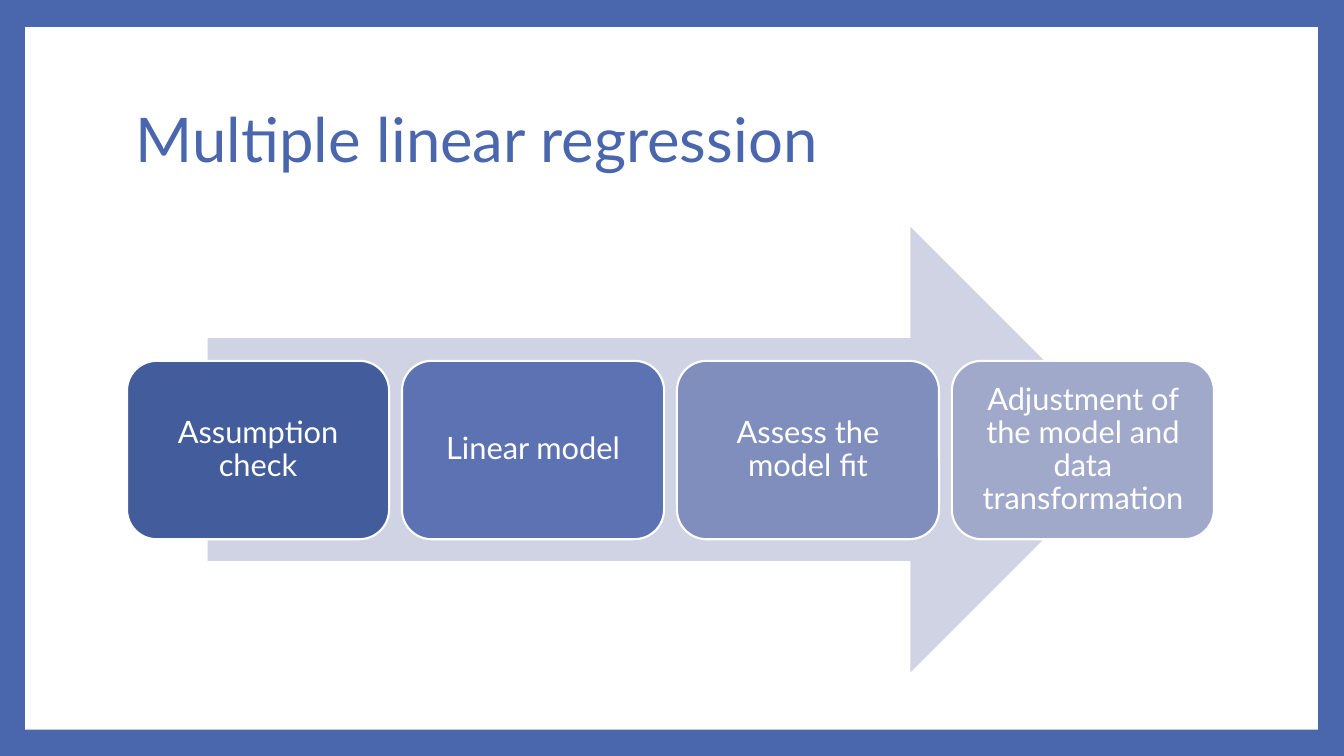
from pptx import Presentation
from pptx.dml.color import RGBColor
from pptx.enum.shapes import MSO_SHAPE
from pptx.enum.text import MSO_ANCHOR, PP_ALIGN
from pptx.util import Inches, Pt

BLUE = "4A66AC"
WHITE = "FFFFFF"
STEPS = [
    ("Assumption check", "435D9C"),
    ("Linear model", "5C72B2"),
    ("Assess the model fit", "7F8EBD"),
    ("Adjustment of the model and data transformation", "A1A9CA"),
]
STEP_LEFT, STEP_PITCH = 1.26, 2.727


def add_filled_shape(kind, left, top, width, height, color):
    shape = slide.shapes.add_shape(
        kind, Inches(left), Inches(top), Inches(width), Inches(height))
    shape.shadow.inherit = False
    shape.fill.solid()
    shape.fill.fore_color.rgb = RGBColor.from_string(color)
    shape.line.fill.background()
    return shape


def write_text(shape, text, size, color, alignment):
    frame = shape.text_frame
    frame.word_wrap = True
    frame.vertical_anchor = MSO_ANCHOR.MIDDLE
    paragraph = frame.paragraphs[0]
    paragraph.text = text
    paragraph.alignment = alignment
    paragraph.line_spacing = 0.9
    paragraph.font.name = "Lato"
    paragraph.font.size = Pt(size)
    paragraph.font.color.rgb = RGBColor.from_string(color)


presentation = Presentation()
presentation.slide_width = Inches(13.33)
presentation.slide_height = Inches(7.5)
slide = presentation.slides.add_slide(presentation.slide_layouts[6])

# Blue frame around a white panel
slide.background.fill.solid()
slide.background.fill.fore_color.rgb = RGBColor.from_string(BLUE)
add_filled_shape(MSO_SHAPE.RECTANGLE, 0.25, 0.27, 12.82, 6.97, WHITE)

# Title
title = slide.shapes.add_textbox(
    Inches(1.25), Inches(0.67), Inches(10.8), Inches(1.48))
write_text(title, "Multiple linear regression", 44, BLUE, PP_ALIGN.LEFT)

# Arrow behind the steps
add_filled_shape(MSO_SHAPE.RIGHT_ARROW, 2.06, 2.25, 9.18, 4.42, "D0D3E3")

# Process steps
for index, (label, color) in enumerate(STEPS):
    step = add_filled_shape(MSO_SHAPE.ROUNDED_RECTANGLE,
                            STEP_LEFT + index * STEP_PITCH, 3.58, 2.6, 1.77, color)
    step.line.color.rgb = RGBColor.from_string(WHITE)
    step.line.width = Pt(1.5)
    write_text(step, label, 22, WHITE, PP_ALIGN.CENTER)
    frame = step.text_frame
    frame.margin_left = frame.margin_right = Inches(0.09)
    frame.margin_top = frame.margin_bottom = Inches(0.09)

presentation.save("out.pptx")
